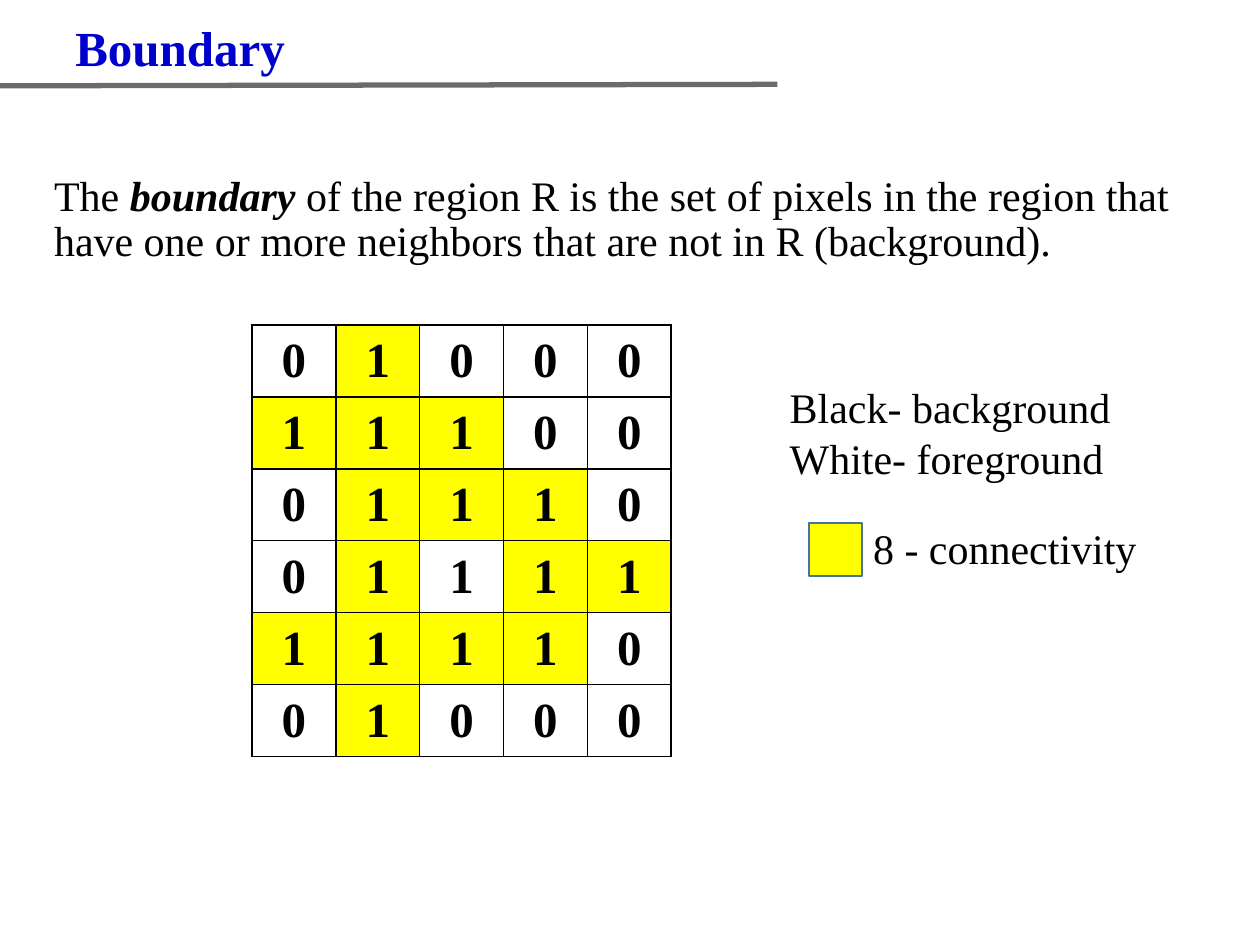
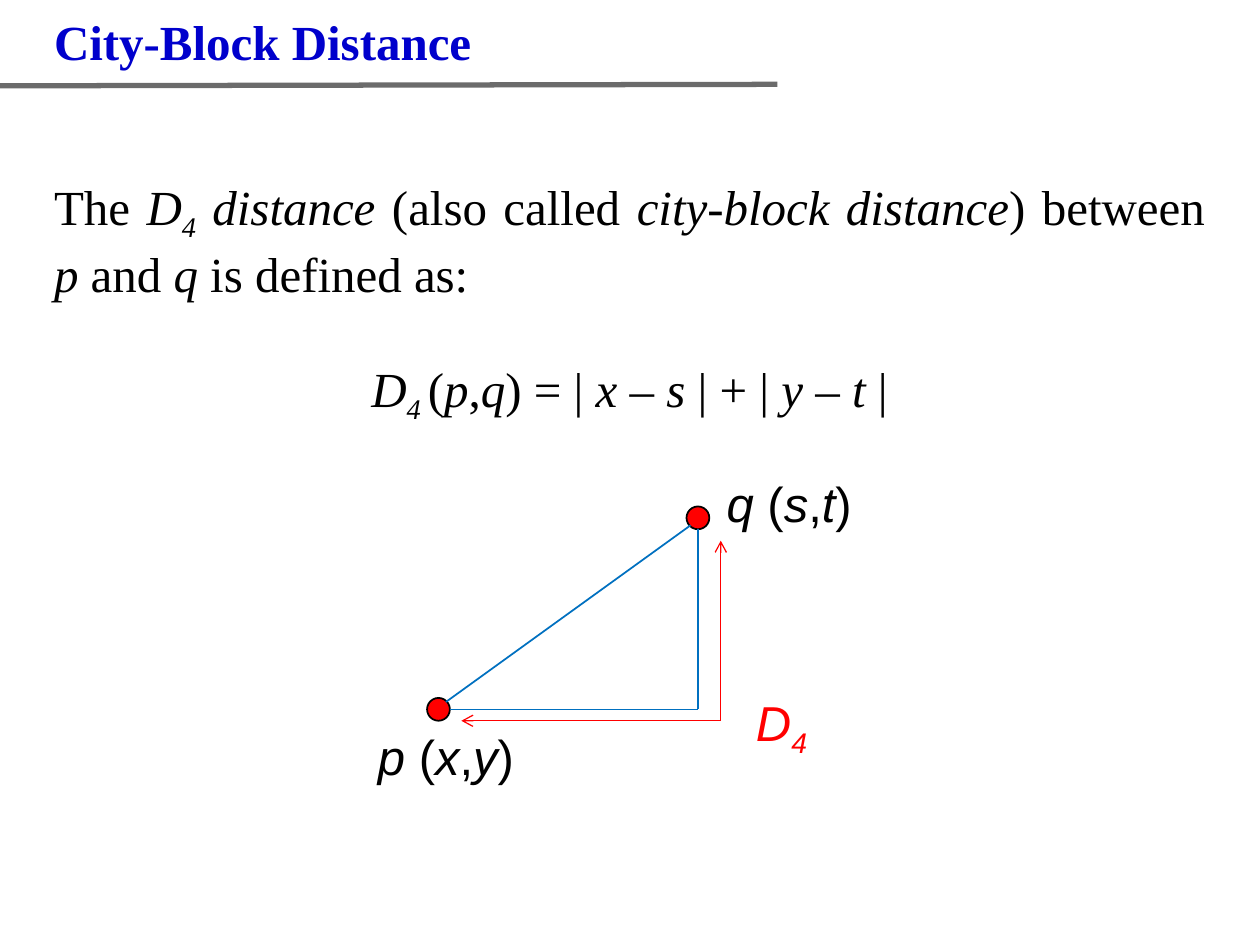
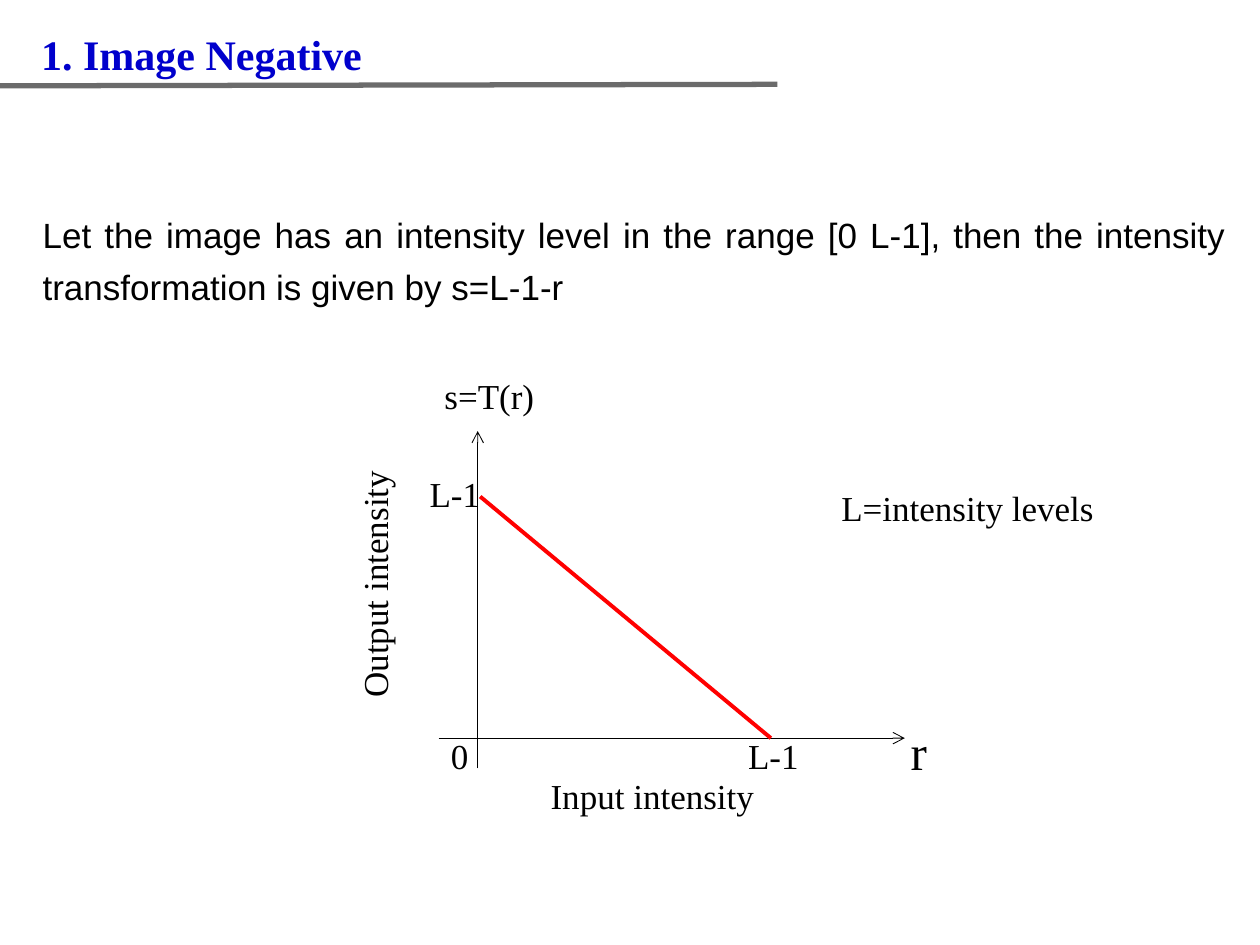
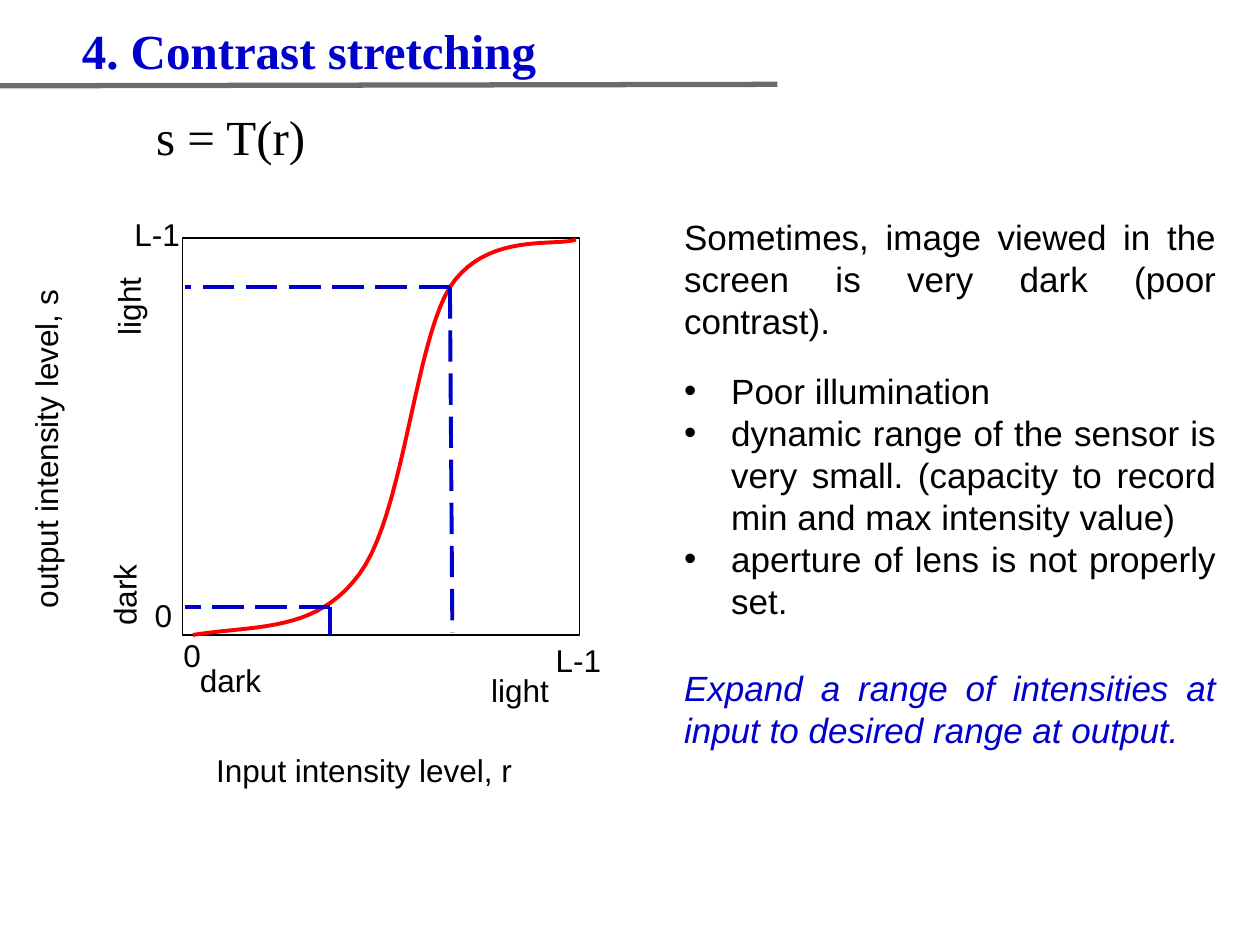
from dataclasses import dataclass
from typing import NamedTuple, Optional

from lxml import etree
from pptx import Presentation
from pptx import util as u
from pptx.dml import color
from pptx.enum import dml, shapes, text
from pptx.oxml import ns

ALIGN = text.PP_ALIGN


@dataclass(frozen=True)
class Theme:
    serif: str = "Times New Roman"
    sans: str = "Arial"
    ink: str = "000000"
    paper: str = "FFFFFF"
    accent: str = "0000CC"
    rule: str = "6B6B6B"
    mark: str = "FFFF00"
    mark_edge: str = "43739E"
    red: str = "FF0000"
    edge: str = "0070C0"
    large: int = 28
    medium: int = 24
    body: int = 20
    small: int = 18


THEME = Theme()


class Run(NamedTuple):
    text: str
    italic: bool = False
    bold: bool = False
    lowered: bool = False


class Point(NamedTuple):
    x: float
    y: float


class Box(NamedTuple):
    left: float
    top: float
    width: float
    height: float


@dataclass(frozen=True)
class Para:
    runs: list[Run]
    align: Optional[ALIGN] = None
    before: float = 0
    spacing: Optional[float] = None
    exact: Optional[float] = None
    bullet: bool = False


@dataclass(frozen=True)
class Label:
    box: Box
    paras: list[Para]
    size: int = THEME.body
    font: str = THEME.serif
    ink: str = THEME.ink
    wrap: bool = True
    rotation: int = 0


@dataclass(frozen=True)
class Stroke:
    start: Point
    end: Point
    ink: str
    weight: float
    arrow: bool = False
    dashed: bool = False


def rgb(value: str) -> color.RGBColor:
    return color.RGBColor.from_string(value)


def plain(words: str, **options) -> Para:
    return Para([Run(words)], **options)


def alternate(*words: str, italic_first: bool) -> list[Run]:
    return [Run(word, italic=(i % 2 == 0) == italic_first) for i, word in enumerate(words)]


def add_bullet(paragraph) -> None:
    props = paragraph._p.get_or_add_pPr()
    props.set("marL", str(u.Cm(0.95)))
    props.set("indent", str(-u.Cm(0.95)))
    etree.SubElement(props, ns.qn("a:buFont")).set("typeface", THEME.sans)
    etree.SubElement(props, ns.qn("a:buChar")).set("char", "•")


def fill_paragraph(paragraph, para: Para, size: int, font: str, ink: str) -> None:
    if para.bullet:
        add_bullet(paragraph)
    paragraph.alignment = para.align
    if para.before:
        paragraph.space_before = u.Pt(para.before)
    if para.exact:
        paragraph.line_spacing = u.Pt(para.exact)
    elif para.spacing:
        paragraph.line_spacing = para.spacing
    for part in para.runs:
        run = paragraph.add_run()
        run.text = part.text
        run.font.name = font
        run.font.size = u.Pt(size)
        run.font.color.rgb = rgb(ink)
        run.font.bold = part.bold
        run.font.italic = part.italic
        if part.lowered:
            run.font._element.set("baseline", "-25000")


def draw_label(slide, label: Label) -> None:
    holder = slide.shapes.add_textbox(*map(u.Cm, label.box))
    holder.rotation = label.rotation
    frame = holder.text_frame
    frame.word_wrap = label.wrap
    frame.auto_size = text.MSO_AUTO_SIZE.SHAPE_TO_FIT_TEXT
    for i, para in enumerate(label.paras):
        paragraph = frame.add_paragraph() if i else frame.paragraphs[0]
        fill_paragraph(paragraph, para, label.size, label.font, label.ink)


def draw_stroke(slide, stroke: Stroke) -> None:
    line = slide.shapes.add_connector(
        shapes.MSO_CONNECTOR.STRAIGHT, *map(u.Cm, (*stroke.start, *stroke.end)))
    line.line.color.rgb = rgb(stroke.ink)
    line.line.width = u.Pt(stroke.weight)
    if stroke.dashed:
        line.line.dash_style = dml.MSO_LINE.LONG_DASH
    props = line._element.spPr
    if stroke.arrow:
        etree.SubElement(props.find(ns.qn("a:ln")), ns.qn("a:tailEnd")).set("type", "arrow")
    etree.SubElement(props, ns.qn("a:effectLst"))


def draw_shape(slide, kind, box: Box, fill: str, edge: str, weight: float = 1) -> None:
    shape = slide.shapes.add_shape(kind, *map(u.Cm, box))
    shape.shadow.inherit = False
    shape.fill.solid()
    shape.fill.fore_color.rgb = rgb(fill)
    shape.line.color.rgb = rgb(edge)
    shape.line.width = u.Pt(weight)


def start_slide(deck, title: str, box: Box, size: int = THEME.large, wrap: bool = True):
    slide = deck.slides.add_slide(deck.slide_layouts[6])
    draw_stroke(slide, Stroke(Point(-0.05, 1.73), Point(15.67, 1.7), THEME.rule, 3))
    draw_label(slide, Label(box, [Para([Run(title, bold=True)])], size, ink=THEME.accent, wrap=wrap))
    return slide


def border_cell(cell) -> None:
    props = cell._tc.get_or_add_tcPr()
    for i, side in enumerate(("a:lnL", "a:lnR", "a:lnT", "a:lnB")):
        border = etree.Element(ns.qn(side), w=str(u.Pt(1)))
        solid = etree.SubElement(border, ns.qn("a:solidFill"))
        etree.SubElement(solid, ns.qn("a:srgbClr")).set("val", THEME.ink)
        props.insert(i, border)


def draw_pixels(slide, corner: Point, pixels: list[str], interior: set[tuple[int, int]]) -> None:
    cell_width, cell_height = 1.69, 1.45
    rows, columns = len(pixels), len(pixels[0])
    grid = slide.shapes.add_table(rows, columns, *map(
        u.Cm, (*corner, columns * cell_width, rows * cell_height))).table
    grid.first_row = grid.horz_banding = False
    for column in grid.columns:
        column.width = u.Cm(cell_width)
    for r, values in enumerate(pixels):
        grid.rows[r].height = u.Cm(cell_height)
        for c, value in enumerate(values):
            cell = grid.cell(r, c)
            cell.vertical_anchor = text.MSO_ANCHOR.MIDDLE
            if value == "1" and (r, c) not in interior:
                cell.fill.solid()
                cell.fill.fore_color.rgb = rgb(THEME.mark)
            else:
                cell.fill.background()
            border_cell(cell)
            fill_paragraph(cell.text_frame.paragraphs[0],
                           Para([Run(value, bold=True)], ALIGN.CENTER),
                           THEME.large, THEME.serif, THEME.ink)


def bezier(a: Point, b: Point, c: Point, d: Point, steps: int = 20) -> list[Point]:
    points = []
    for i in range(1, steps + 1):
        t = i / steps
        weights = ((1 - t) ** 3, 3 * t * (1 - t) ** 2, 3 * t * t * (1 - t), t ** 3)
        points.append(Point(*(sum(w * v for w, v in zip(weights, axis))
                              for axis in zip(a, b, c, d))))
    return points


def draw_curve(slide, knots: list[Point], ink: str, weight: float) -> None:
    outline = [point for i in range(0, len(knots) - 1, 3) for point in bezier(*knots[i:i + 4])]
    builder = slide.shapes.build_freeform(u.Cm(knots[0].x), u.Cm(knots[0].y))
    builder.add_line_segments([(u.Cm(x), u.Cm(y)) for x, y in outline], close=False)
    curve = builder.convert_to_shape()
    curve.shadow.inherit = False
    curve.fill.background()
    curve.line.color.rgb = rgb(ink)
    curve.line.width = u.Pt(weight)


def boundary(deck) -> None:
    slide = start_slide(deck, "Boundary", Box(1.27, 0.23, 9.96, 1.45))
    draw_pixels(slide, Point(5.08, 6.55),
                ["01000", "11100", "01110", "01111", "11110", "01000"], {(3, 2)})
    draw_shape(slide, shapes.MSO_SHAPE.RECTANGLE, Box(16.31, 10.54, 1.07, 1.07),
               THEME.mark, THEME.mark_edge)
    definition = Para([
        Run("The "), Run("boundary ", italic=True, bold=True),
        Run("of the region R is the set of pixels in the region that have one or more "
            "neighbors that are not in R (background)."),
    ], spacing=0.9)
    for box, paras in (
        (Box(15.67, 7.57, 8.05, 3.33), [plain("Black- background"), plain("White- foreground")]),
        (Box(17.35, 10.41, 6.55, 1.27), [plain("8 - connectivity")]),
        (Box(0.84, 3.4, 24.13, 2.11), [definition]),
    ):
        draw_label(slide, Label(box, paras, THEME.medium))


def city_block(deck) -> None:
    slide = start_slide(deck, "City-Block Distance", Box(0.84, 0.1, 9.02, 1.45), wrap=False)
    definition = Para([
        Run("The "), Run("D", italic=True), Run("4", italic=True, lowered=True),
        *alternate(" distance ", "(also called ", "city-block distance", ") between ",
                   "p", " and ", "q", " is defined as:", italic_first=True),
    ], ALIGN.JUSTIFY)
    formula = Para([
        Run("D", italic=True), Run("4 ", italic=True, lowered=True),
        *alternate("(", "p", ",", "q", ") = | ", "x", " – ", "s ", "| + | ",
                   "y", " – ", "t ", "|", italic_first=False),
    ], ALIGN.CENTER, before=32)
    draw_label(slide, Label(Box(0.84, 3.43, 23.7, 5.05), [definition, formula], THEME.large))

    p, q, radius = Point(8.84, 14.3), Point(14.07, 10.44), 0.23
    corner, turn = Point(q.x, p.y), Point(q.x + 2 * radius, p.y + radius)
    for center in (p, q):
        draw_shape(slide, shapes.MSO_SHAPE.OVAL,
                   Box(center.x - radius, center.y - radius, 2 * radius, 2 * radius),
                   THEME.red, THEME.ink)
    for start, end in (
        (Point(8.99, 14.15), Point(13.92, 10.59)),
        (Point(q.x, q.y + radius), corner),
        (corner, Point(p.x + radius, p.y)),
    ):
        draw_stroke(slide, Stroke(start, end, THEME.edge, 1))
    for tip in (Point(turn.x, q.y + 2 * radius), Point(p.x + 2 * radius, turn.y)):
        draw_stroke(slide, Stroke(turn, tip, THEME.red, 0.75, arrow=True))
    distance = [Run("D", italic=True), Run("4", italic=True, lowered=True)]
    for box, runs, ink in (
        (Box(7.37, 14.53, 3.86, 1.55),
         alternate("p", " (", "x", ",", "y", ")", italic_first=True), THEME.ink),
        (Box(14.4, 9.42, 3.63, 1.55),
         alternate("q", " (", "s", ",", "t", ")", italic_first=True), THEME.ink),
        (Box(14.99, 13.84, 1.83, 1.09), distance, THEME.red),
    ):
        draw_label(slide, Label(box, [Para(runs)], THEME.large, THEME.sans, ink))


def image_negative(deck) -> None:
    slide = start_slide(deck, "1. Image Negative", Box(0.58, 0.46, 7.26, 1.27),
                        THEME.medium, wrap=False)
    draw_label(slide, Label(Box(0.61, 3.96, 24.36, 2.39), [plain(
        "Let the image has an intensity level in the range [0 L-1], then the intensity "
        "transformation is given by s=L-1-r", align=ALIGN.JUSTIFY, exact=30)], font=THEME.sans))
    for start, end in (
        (Point(9.63, 15.49), Point(9.63, 8.69)),
        (Point(8.84, 14.88), Point(18.24, 14.88)),
    ):
        draw_stroke(slide, Stroke(start, end, THEME.ink, 0.5, arrow=True))
    for words, left, top, width, size, rotation in (
        ("0", 8.84, 14.68, 0.86, THEME.body, 0),
        ("L-1", 14.83, 14.68, 1.55, THEME.body, 0),
        ("L-1", 8.41, 9.4, 1.55, THEME.body, 0),
        ("r", 18.11, 14.43, 0.74, THEME.large, 0),
        ("s=T(r)", 8.71, 7.42, 2.34, THEME.body, 0),
        ("Input intensity", 10.85, 15.49, 4.83, THEME.body, 0),
        ("Output intensity", 5, 11.2, 5.11, THEME.body, 270),
    ):
        draw_label(slide, Label(Box(left, top, width, 1.12), [plain(words)], size,
                                wrap=False, rotation=rotation))
    draw_stroke(slide, Stroke(Point(9.68, 10.01), Point(15.54, 14.88), THEME.red, 2.25))
    draw_label(slide, Label(Box(16.71, 9.68, 7.52, 1.12), [plain("L=intensity levels")]))


def contrast_stretching(deck) -> None:
    slide = start_slide(deck, "4. Contrast stretching", Box(1.4, 0.28, 13, 1.45))
    draw_label(slide, Label(Box(2.9, 2.03, 6.1, 1.45), [plain("s = T(r)")], THEME.large))
    draw_shape(slide, shapes.MSO_SHAPE.RECTANGLE, Box(3.68, 4.8, 8, 8),
               THEME.paper, THEME.ink, 0.75)
    for words, left, top, width, rotation in (
        ("0", 2.87, 11.89, 0.86, 0),
        ("0", 3.45, 12.7, 0.86, 0),
        ("L-1", 2.46, 4.22, 1.45, 0),
        ("L-1", 10.95, 12.8, 1.45, 0),
        ("Input intensity level, r", 4.11, 15.01, 6.53, 0),
        ("output intensity level, s", -2.57, 8.51, 6.99, 270),
        ("dark", 1.63, 11.48, 1.75, 270),
        ("light", 1.75, 5.66, 1.68, 270),
        ("dark", 3.78, 13.21, 1.75, 0),
        ("light", 9.65, 13.41, 1.68, 0),
    ):
        draw_label(slide, Label(Box(left, top, width, 1.02), [plain(words)], THEME.small,
                                THEME.sans, wrap=False, rotation=rotation))
    draw_curve(slide, [
        Point(3.89, 12.8), Point(5.18, 12.6), Point(6.38, 12.75), Point(7.24, 11.58),
        Point(8.13, 10.41), Point(8.36, 6.93), Point(9.07, 5.79),
        Point(9.8, 4.67), Point(11.2, 4.98), Point(11.61, 4.83),
    ], THEME.red, 2.25)
    for level, foot in (
        (Point(6.65, 12.24), Point(6.65, 12.8)),
        (Point(9.07, 5.79), Point(9.12, 12.75)),
    ):
        for end in (foot, Point(3.73, level.y)):
            draw_stroke(slide, Stroke(level, end, THEME.accent, 2.25, dashed=True))
    aim = Run("Expand a range of intensities at input to desired range at output.", italic=True)
    draw_label(slide, Label(Box(13.54, 13.31, 11.23, 1.96), [Para([aim], ALIGN.JUSTIFY)],
                            font=THEME.sans, ink=THEME.accent))
    causes = [
        "Poor illumination",
        "dynamic range of the sensor is very small. (capacity to record min and max "
        "intensity value)",
        "aperture of lens is not properly set.",
    ]
    reasons = [plain("Sometimes, image viewed in the screen is very dark (poor contrast).",
                     align=ALIGN.JUSTIFY)]
    reasons += [plain(cause, align=ALIGN.JUSTIFY, before=0 if i else 16, bullet=True)
                for i, cause in enumerate(causes)]
    draw_label(slide, Label(Box(13.54, 4.22, 11.23, 8.56), reasons, font=THEME.sans))


def main() -> None:
    deck = Presentation()
    deck.slide_width, deck.slide_height = u.Cm(25.4), u.Cm(19.05)
    for build in (boundary, city_block, image_negative, contrast_stretching):
        build(deck)
    deck.save("out.pptx")


if __name__ == "__main__":
    main()
